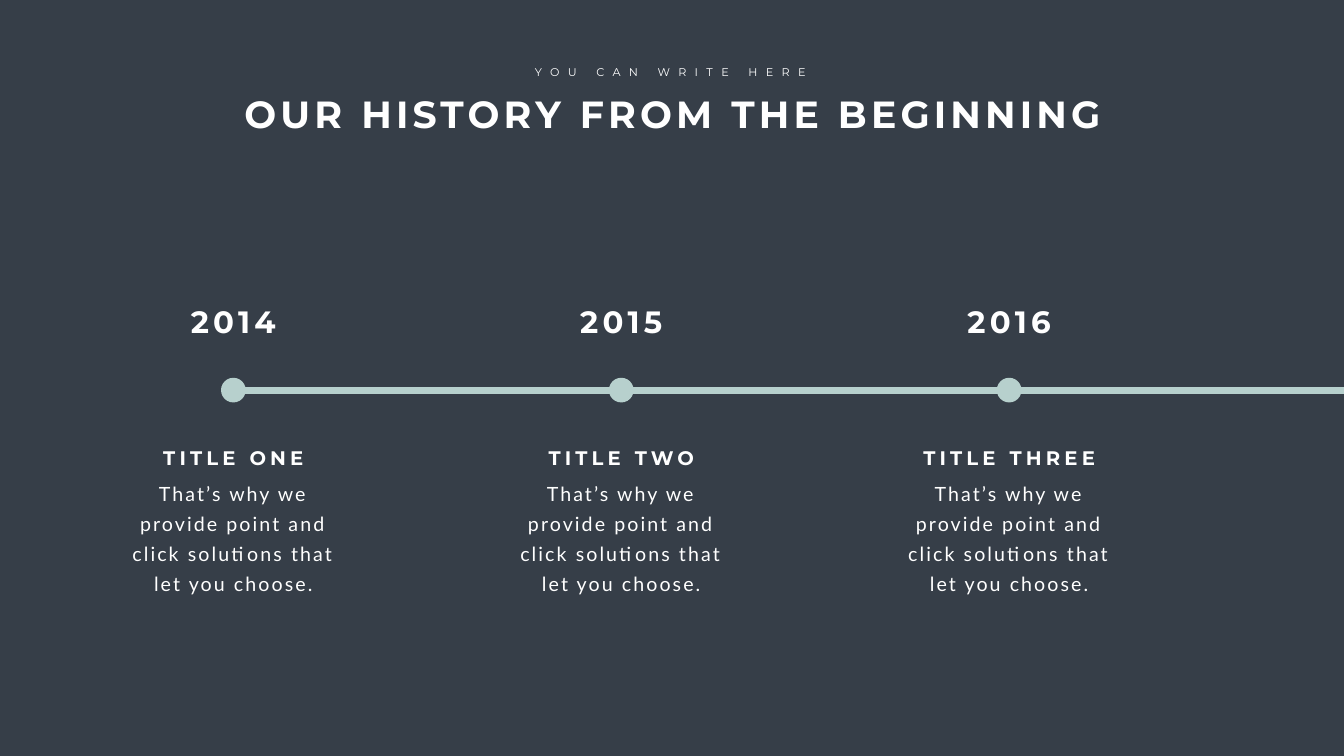
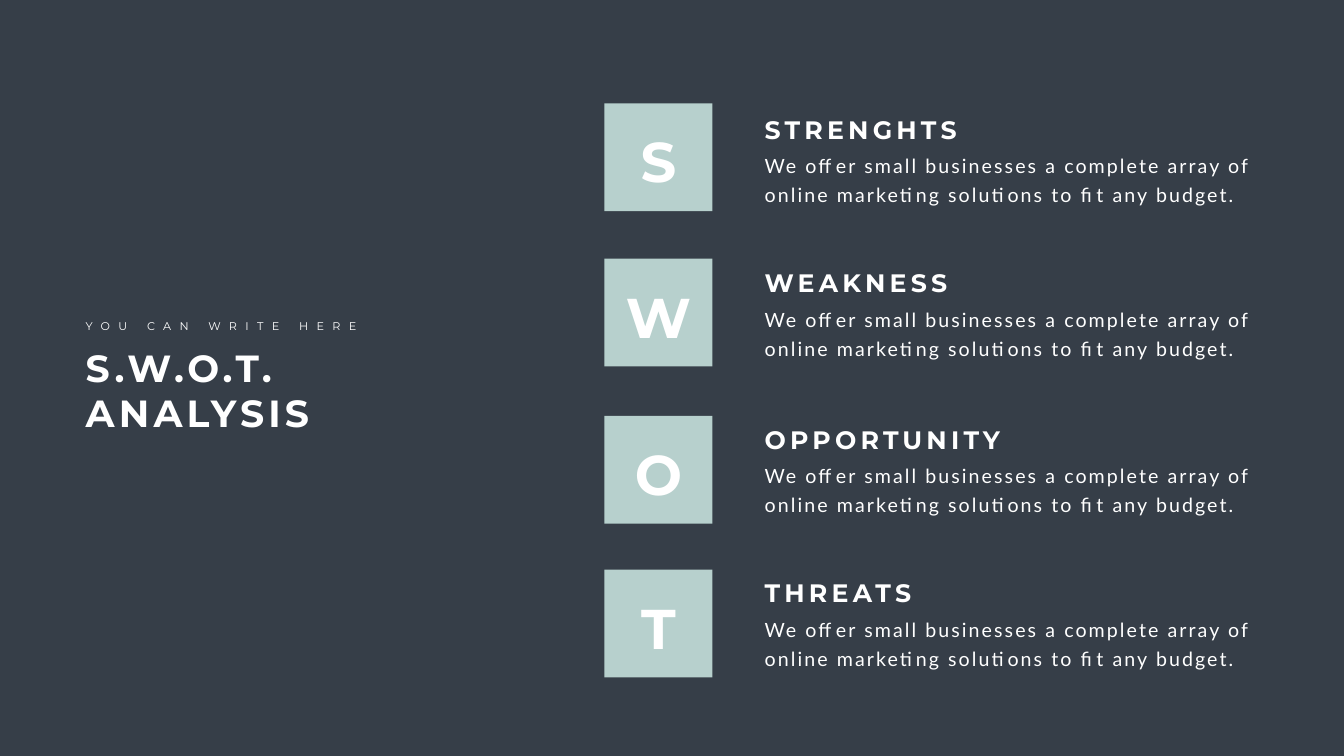
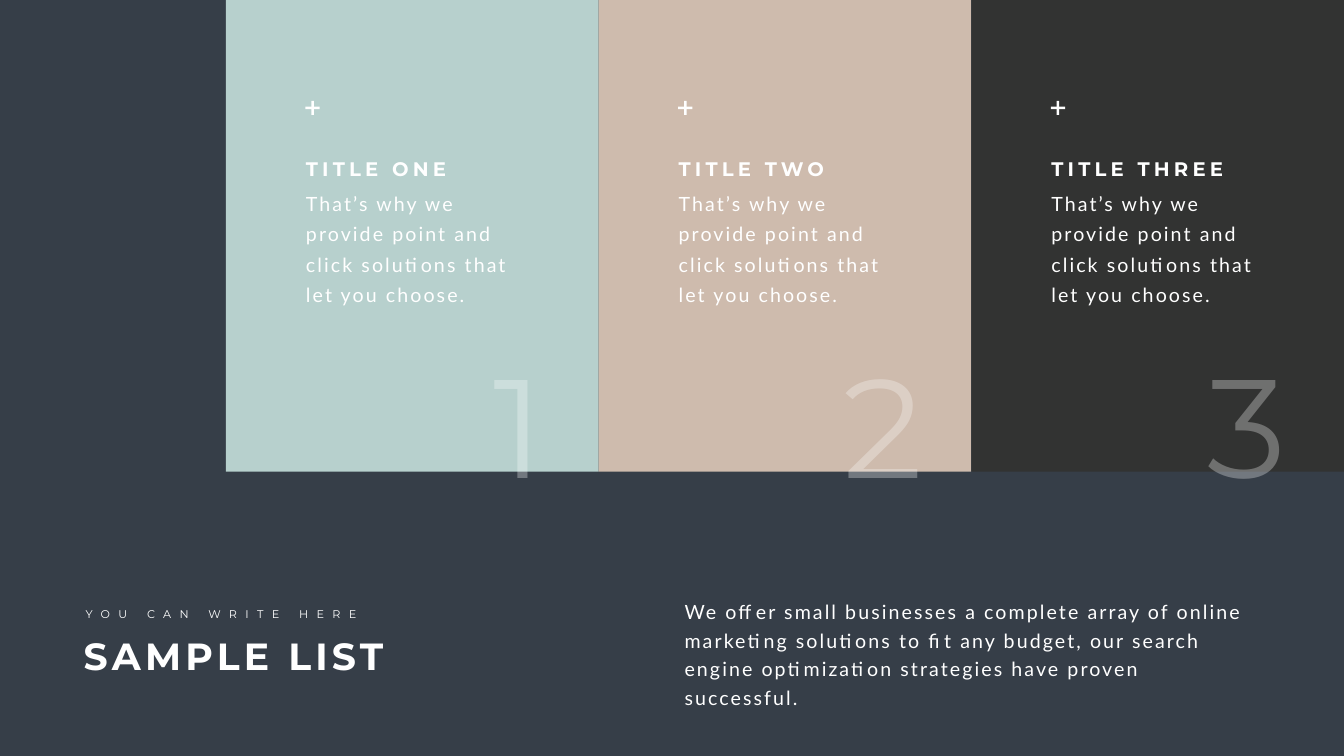
"""Build a three-slide deck: a timeline, a SWOT list and a panel list."""
from lxml import etree
from pptx import Presentation
from pptx import util as u
from pptx.dml import color
from pptx.enum import shapes, text
from pptx.oxml import ns

PT = u.Pt
KIND = shapes.MSO_SHAPE
LEFT, MID = text.PP_ALIGN.LEFT, text.PP_ALIGN.CENTER
WIDE, HIGH = 1919.52, 1080

THEME = {
    "ink": {"back": "363E48", "mint": "B7D0CD", "sand": "CEBBAD", "coal": "323332", "white": "FFFFFF"},
    "type": {
        "title": {"name": "Montserrat", "size": PT(54), "bold": True},
        "kick": {"name": "Montserrat", "size": PT(16), "bold": False},
        "year": {"name": "Montserrat", "size": PT(44), "bold": True},
        "head": {"name": "Montserrat", "size": PT(36), "bold": True},
        "sub": {"name": "Montserrat", "size": PT(28), "bold": True},
        "mark": {"name": "Montserrat", "size": PT(80), "bold": True},
        "digit": {"name": "Montserrat", "size": PT(200), "bold": False},
        "body": {"name": "Lato", "size": PT(28), "bold": False},
    },
    "track": {"kick": 12, "body": 3, "mark": 0},
    "alpha": {"digit": 30},
}

KICK = "YOU CAN WRITE HERE"
OFFER = "We offer small businesses a complete array of online marketing solutions to fit any budget"
POINT = "That’s why we provide point and click solutions that let you choose."
HEADS = ["TITLE ONE", "TITLE TWO", "TITLE THREE"]

PAST = {"title": "OUR HISTORY FROM THE BEGINNING", "years": ["2014", "2015", "2016"]}
SWOT = {
    "title": "S.W.O.T. ANALYSIS",
    "rows": [
        ("S", "STRENGHTS", 147.6, 159.1),
        ("W", "WEAKNESS", 369.4, 378.7),
        ("O", "OPPORTUNITY", 594, 601.9),
        ("T", "THREATS", 813.6, 821.5),
    ],
}
LIST = {
    "title": "SAMPLE LIST",
    "fills": ["mint", "sand", "coal"],
    "note": OFFER + ", our search engine optimization strategies have proven successful.",
}


def tint(name):
    return color.RGBColor.from_string(THEME["ink"][name])


def write(box, words, style, align=LEFT, wrap=True, lead=None):
    """Fill a text shape in one of the theme's type styles."""
    frame = box.text_frame
    look = {"word_wrap": wrap, "auto_size": text.MSO_AUTO_SIZE.SHAPE_TO_FIT_TEXT,
            "vertical_anchor": text.MSO_ANCHOR.TOP}
    for key, val in look.items():
        setattr(frame, key, val)
    para = frame.paragraphs[0]
    para.alignment = align
    if lead:
        para.line_spacing = PT(lead)
    run = para.add_run()
    run.text = words
    for key, val in THEME["type"][style].items():
        setattr(run.font, key, val)
    run.font.color.rgb = tint("white")
    props = run._r.get_or_add_rPr()
    props.set("spc", str(THEME["track"].get(style, 6) * 100))
    if style in THEME["alpha"]:
        ink = props.find(".//" + ns.qn("a:srgbClr"))
        etree.SubElement(ink, ns.qn("a:alpha")).set("val", str(THEME["alpha"][style] * 1000))


def label(slide, words, style, area, **form):
    write(slide.shapes.add_textbox(*map(PT, area)), words, style, **form)


def block(slide, kind, fill, area, turn=0):
    """Draw a plain filled shape with no outline."""
    item = slide.shapes.add_shape(kind, *map(PT, area))
    item.shadow.inherit = False
    item.fill.solid()
    item.fill.fore_color.rgb = tint(fill)
    item.line.fill.background()
    item.rotation = turn


def start(deck, title, area, kick, align=LEFT, wrap=True):
    """Add a slide with its title and the small line above it."""
    slide = deck.slides.add_slide(deck.slide_layouts[5])
    head = slide.shapes.title
    for key, val in zip(("left", "top", "width", "height"), area):
        setattr(head, key, PT(val))
    write(head, title, "title", align=align, wrap=wrap)
    label(slide, KICK, "kick", (kick, area[1] - 36, 416.2, 26.6), align=align, wrap=False)
    return slide


def pair(slide, head, left, top, wide, align=LEFT):
    """Place a column heading and the text under it."""
    label(slide, head, "sub", (left, top, 317.5, 41), align=align)
    label(slide, POINT, "body", (left, top + 41.3, wide, 177), align=align, lead=43)


def past(deck):
    slide = start(deck, PAST["title"], (331.9, 125.3, 1258.6, 72.7), 749.5, MID, False)
    first, step, axis, dot = 333.3, 554, 557.3, 35.3
    rail = slide.shapes.add_connector(
        shapes.MSO_CONNECTOR.STRAIGHT, *map(PT, (WIDE, axis, first, axis)))
    rail.line.color.rgb = tint("mint")
    rail.line.width = PT(10)
    etree.SubElement(rail._element.spPr, ns.qn("a:effectLst"))
    for num, (year, head) in enumerate(zip(PAST["years"], HEADS)):
        mid = first + num * step
        block(slide, KIND.OVAL, "mint", (mid - dot / 2, axis - dot / 2, dot, dot))
        label(slide, year, "year", (mid - 117.4, 428.4, 234.8, 60.5), align=MID)
        pair(slide, head, mid - 158.75, 633.6, 317.5, MID)


def swot(deck):
    slide = start(deck, SWOT["title"], (115.2, 488.9, 510.5, 138.2), 115.2)
    side, left, col = 154.1, 863.3, 1085
    for mark, head, top, high in SWOT["rows"]:
        block(slide, KIND.RECTANGLE, "mint", (left, top, side, side))
        label(slide, mark, "mark", (left - 11.5, top + 30.2, 177.1, 104.4), align=MID)
        label(slide, head, "head", (col, high, 486, 51.1))
        label(slide, OFFER + ".", "body", (col, high + 50.6, 735.8, 85.7), lead=40.8)


def panels(deck):
    slide = start(deck, LIST["title"], (112.3, 900.7, 684, 72.7), 115.2)
    label(slide, LIST["note"], "body", (970.6, 846.7, 834.5, 127.4), lead=40.8)
    first, wide = 322.6, 532.3
    for num, (fill, head) in enumerate(zip(LIST["fills"], HEADS)):
        left = first + num * wide
        block(slide, KIND.RECTANGLE, fill, (left, 0, wide, 673.9))
        pair(slide, head, left + 107.3, 220.5, 303.1)
        for turn in (0, 90):
            block(slide, KIND.RECTANGLE, "white", (left + 122, 144, 3.6, 20.2), turn)
        label(slide, str(num + 1), "digit", (623.5 + num * 519.8, 480.2, 235.4, 249.8), align=MID)


def main():
    deck = Presentation()
    deck.slide_width, deck.slide_height = PT(WIDE), PT(HIGH)
    back = deck.slide_master.background.fill
    back.solid()
    back.fore_color.rgb = tint("back")
    for make in (past, swot, panels):
        make(deck)
    deck.save("out.pptx")


if __name__ == "__main__":
    main()
